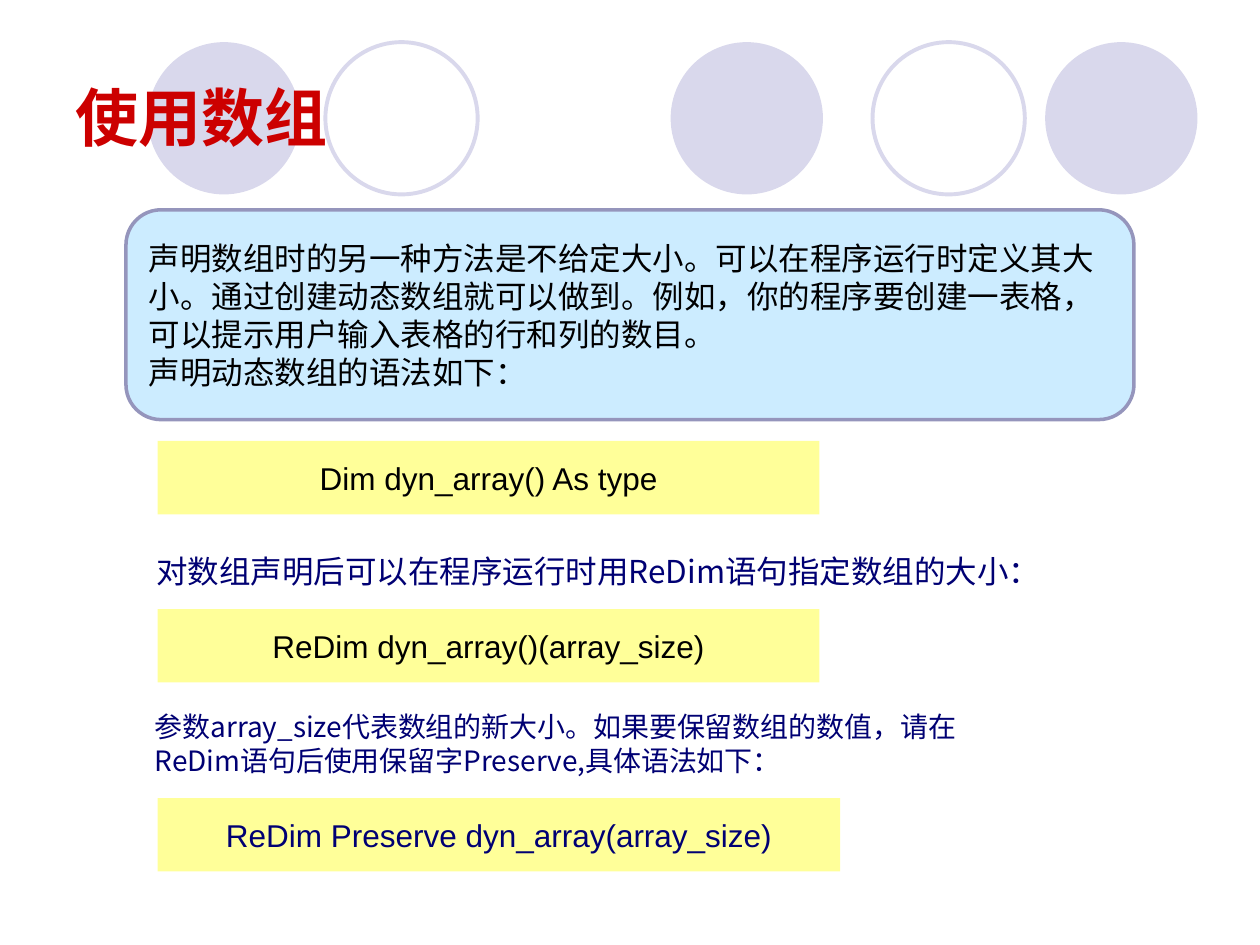
from lxml import etree
from pptx import Presentation
from pptx.dml.color import RGBColor
from pptx.enum import shapes, text
from pptx.oxml import ns
from pptx.util import Cm, Pt

COLORS = {
    "circle": "D9D8EC", "title": "CC0000", "panel": "CCECFF", "border": "9595BC",
    "code": "FFFF99", "black": "000000", "navy": "000073",
}
LATIN, CHINESE = "Arial", "Noto Sans CJK SC"
SHAPE = shapes.MSO_SHAPE


def color(key):
    """Return the palette colour with the given key."""
    return RGBColor.from_string(COLORS[key])


def write(frame, lines, size, ink, font=CHINESE, bold=False,
          align=text.PP_ALIGN.LEFT, anchor=text.MSO_ANCHOR.MIDDLE):
    """Fill a text frame with one paragraph per line in a single style."""
    frame.word_wrap = True
    frame.vertical_anchor = anchor
    frame.text = "\n".join(lines)
    for paragraph in frame.paragraphs:
        paragraph.alignment = align
        if font == CHINESE:
            paragraph.line_spacing = Pt(size * 1.2)
        style = paragraph.font
        style.size, style.bold, style.name = Pt(size), bold, font
        style.color.rgb = color(ink)
        east_asian = etree.SubElement(paragraph._p.pPr.find(ns.qn("a:defRPr")), ns.qn("a:ea"))
        east_asian.set("typeface", CHINESE)


def add_block(slide, kind, box, fill=None, line=None, weight=2.25):
    """Add a flat preset shape with an optional fill and outline."""
    block = slide.shapes.add_shape(kind, *map(Cm, box))
    block.shadow.inherit = False
    if fill:
        block.fill.solid()
        block.fill.fore_color.rgb = color(fill)
    else:
        block.fill.background()
    if line:
        block.line.color.rgb = color(line)
        block.line.width = Pt(weight)
    else:
        block.line.fill.background()
    return block


def add_circles(slide, left, top, diameter):
    """Place the row of solid and open circles."""
    circles = [(0, True), (3.58, False), (10.54, True), (14.61, False), (18.09, True)]
    for offset, solid in circles:
        add_block(slide, SHAPE.OVAL, (left + offset, top, diameter, diameter),
                  fill="circle" if solid else None, line=None if solid else "circle")


def add_title(slide, box, title):
    """Place the slide title."""
    heading = slide.shapes.add_textbox(*map(Cm, box))
    write(heading.text_frame, [title], 36, "title", LATIN, bold=True)


def add_panel(slide, box, lines):
    """Place the rounded introduction panel."""
    panel = add_block(slide, SHAPE.ROUNDED_RECTANGLE, box, "panel", "border", 2)
    panel.adjustments[0] = 0.167
    write(panel.text_frame, lines, 18, "black")


def add_code(slide, box, statement, ink="black"):
    """Place a highlighted syntax line."""
    strip = add_block(slide, SHAPE.RECTANGLE, box, "code")
    write(strip.text_frame, [statement], 18, ink, LATIN, align=text.PP_ALIGN.CENTER)


def add_note(slide, box, lines, size):
    """Place an explanation between syntax lines."""
    note = slide.shapes.add_textbox(*map(Cm, box))
    write(note.text_frame, lines, size, "navy", anchor=text.MSO_ANCHOR.TOP)


def main():
    """Build and save the slide on dynamic arrays."""
    deck = Presentation()
    deck.slide_width, deck.slide_height = Cm(25.4), Cm(19.05)
    slide = deck.slides.add_slide(deck.slide_layouts[6])
    add_circles(slide, 2.98, 0.85, 3.07)
    add_title(slide, (1.27, 0.76, 22.86, 3.18), "使用数组")
    add_panel(slide, (2.54, 4.23, 20.32, 4.23), [
        "声明数组时的另一种方法是不给定大小。可以在程序运行时定义其大小。"
        "通过创建动态数组就可以做到。例如，你的程序要创建一表格，"
        "可以提示用户输入表格的行和列的数目。",
        "声明动态数组的语法如下：",
    ])
    add_code(slide, (3.18, 8.89, 13.34, 1.48), "Dim dyn_array() As type")
    add_note(slide, (2.9, 11, 18.92, 1.02),
             ["对数组声明后可以在程序运行时用ReDim语句指定数组的大小："], 18)
    add_code(slide, (3.18, 12.28, 13.34, 1.48), "ReDim dyn_array()(array_size)")
    add_note(slide, (2.87, 14.18, 17.68, 1.63), [
        "参数array_size代表数组的新大小。如果要保留数组的数值，请在",
        "ReDim语句后使用保留字Preserve,具体语法如下：",
    ], 16)
    add_code(slide, (3.18, 16.09, 13.76, 1.48),
             "ReDim Preserve dyn_array(array_size)", "navy")
    deck.save("out.pptx")


if __name__ == "__main__":
    main()
